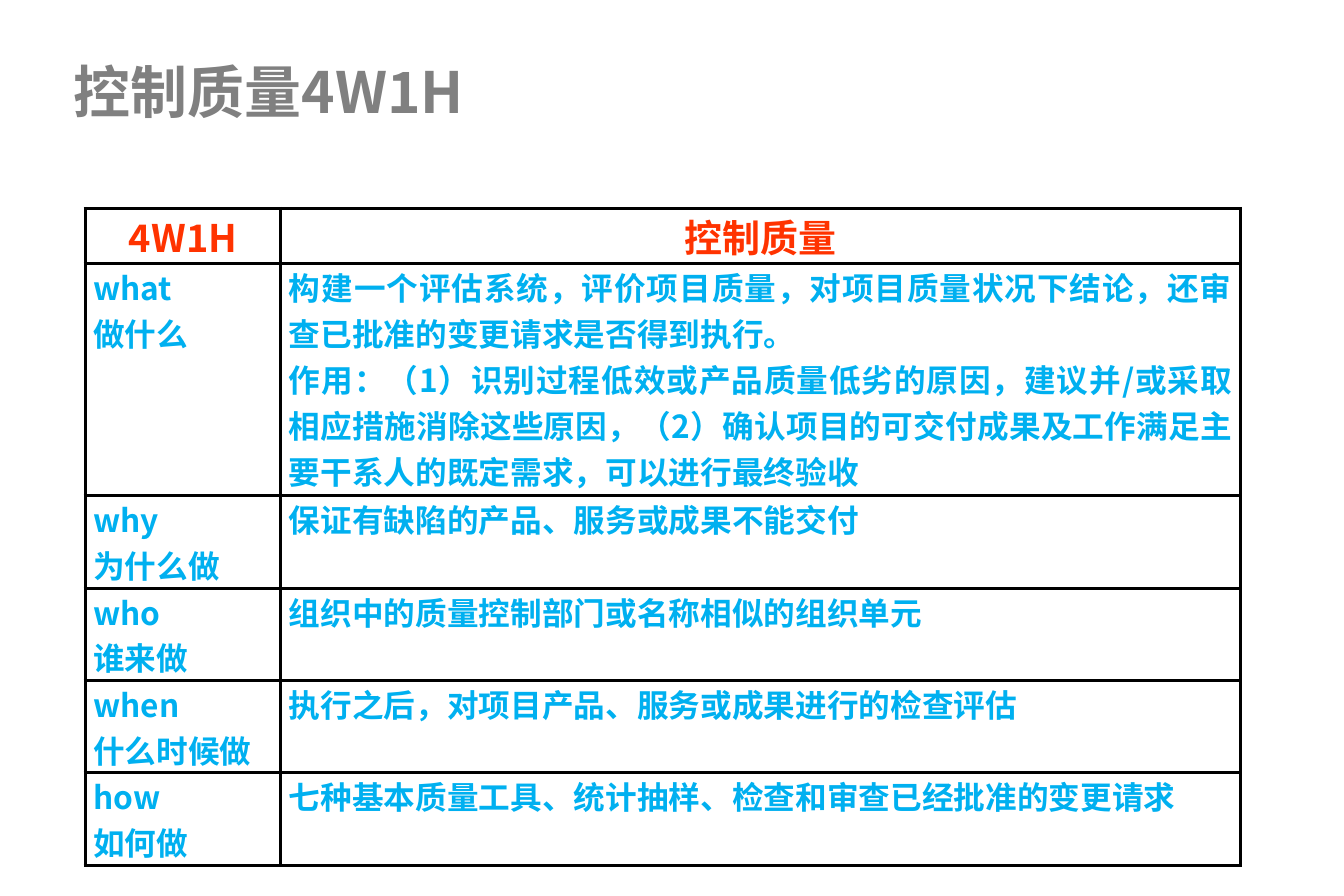
from dataclasses import dataclass
from typing import Any

import lxml.etree
import pptx
import pptx.dml.color
import pptx.enum.text
import pptx.oxml.ns
import pptx.util

Cm = pptx.util.Cm
Pt = pptx.util.Pt
Align = pptx.enum.text.PP_ALIGN
qn = pptx.oxml.ns.qn

FONT_NAME = "Noto Sans CJK SC"
COLORS = {
    "title": "808080",
    "header": "FF3300",
    "body": "00B0F0",
    "cell": "FFFFFF",
    "border": "000000",
}
COLUMN_WIDTHS = (4.37, 21.41)
BORDER_WIDTH = Pt(2.25)


@dataclass(frozen=True)
class TextStyle:
    size: float
    color: str
    alignment: Any


@dataclass(frozen=True)
class TableRow:
    height: float
    style: TextStyle
    cells: tuple[str, str]


TITLE = TextStyle(36, "title", Align.LEFT)
HEADER = TextStyle(24, "header", Align.CENTER)
BODY = TextStyle(20, "body", Align.JUSTIFY)

ROWS = (
    TableRow(1.24, HEADER, ("4W1H", "控制质量")),
    TableRow(5.18, BODY, (
        "what\n做什么",
        "构建一个评估系统，评价项目质量，对项目质量状况下结论，还审查已批准的变更请求是否得到执行。\n"
        "作用：（1）识别过程低效或产品质量低劣的原因，建议并/或采取相应措施消除这些原因，"
        "（2）确认项目的可交付成果及工作满足主要干系人的既定需求，可以进行最终验收",
    )),
    TableRow(2.06, BODY, ("why\n为什么做", "保证有缺陷的产品、服务或成果不能交付")),
    TableRow(2.06, BODY, ("who\n谁来做", "组织中的质量控制部门或名称相似的组织单元")),
    TableRow(2.06, BODY, ("when\n什么时候做", "执行之后，对项目产品、服务或成果进行的检查评估")),
    TableRow(2.06, BODY, ("how\n如何做", "七种基本质量工具、统计抽样、检查和审查已经批准的变更请求")),
)


def set_attributes(target: Any, values: dict[str, Any]) -> None:
    for name, value in values.items():
        setattr(target, name, value)


def rgb(color: str) -> pptx.dml.color.RGBColor:
    return pptx.dml.color.RGBColor.from_string(COLORS[color])


def write_text(text_frame: Any, text: str, style: TextStyle) -> None:
    text_frame.text = text
    for paragraph in text_frame.paragraphs:
        paragraph.alignment = style.alignment
        for run in paragraph.runs:
            set_attributes(run.font, {"name": FONT_NAME, "size": Pt(style.size), "bold": True})
            run.font.color.rgb = rgb(style.color)
            east_asian = lxml.etree.SubElement(run.font._element, qn("a:ea"))
            east_asian.set("typeface", FONT_NAME)


def add_borders(cell: Any) -> None:
    properties = cell._tc.get_or_add_tcPr()
    for side in ("L", "R", "T", "B"):
        line = lxml.etree.SubElement(properties, qn(f"a:ln{side}"), w=str(BORDER_WIDTH))
        fill = lxml.etree.SubElement(line, qn("a:solidFill"))
        lxml.etree.SubElement(fill, qn("a:srgbClr"), val=COLORS["border"])


def format_title(title: Any) -> None:
    set_attributes(title, {
        "left": Cm(1.37), "top": Cm(1.24), "width": Cm(27), "height": Cm(1.57),
    })
    set_attributes(title.text_frame, {
        "margin_left": Cm(0.28), "margin_right": Cm(0.28),
        "margin_top": Cm(0.15), "margin_bottom": Cm(0.15),
        "vertical_anchor": pptx.enum.text.MSO_ANCHOR.MIDDLE,
        "auto_size": pptx.enum.text.MSO_AUTO_SIZE.NONE,
        "word_wrap": True,
    })
    write_text(title.text_frame, "控制质量4W1H", TITLE)


def add_quality_table(slide: Any) -> None:
    table = slide.shapes.add_table(
        len(ROWS), len(COLUMN_WIDTHS), Cm(1.9), Cm(4.65),
        Cm(sum(COLUMN_WIDTHS)), Cm(sum(row.height for row in ROWS)),
    ).table
    set_attributes(table, {"first_row": False, "horz_banding": False})
    for column, width in zip(table.columns, COLUMN_WIDTHS):
        column.width = Cm(width)
    for table_row, row in zip(table.rows, ROWS):
        table_row.height = Cm(row.height)
        for cell, text in zip(table_row.cells, row.cells):
            set_attributes(cell, {
                "margin_left": Cm(0.18), "margin_right": Cm(0.18),
                "margin_top": 0, "margin_bottom": 0,
            })
            add_borders(cell)
            cell.fill.solid()
            cell.fill.fore_color.rgb = rgb("cell")
            write_text(cell.text_frame, text, row.style)


def main() -> None:
    presentation = pptx.Presentation()
    set_attributes(presentation, {"slide_width": Cm(30), "slide_height": Cm(20)})
    slide = presentation.slides.add_slide(presentation.slide_layouts.get_by_name("Title Only"))
    format_title(slide.shapes.title)
    add_quality_table(slide)
    presentation.save("out.pptx")


if __name__ == "__main__":
    main()
